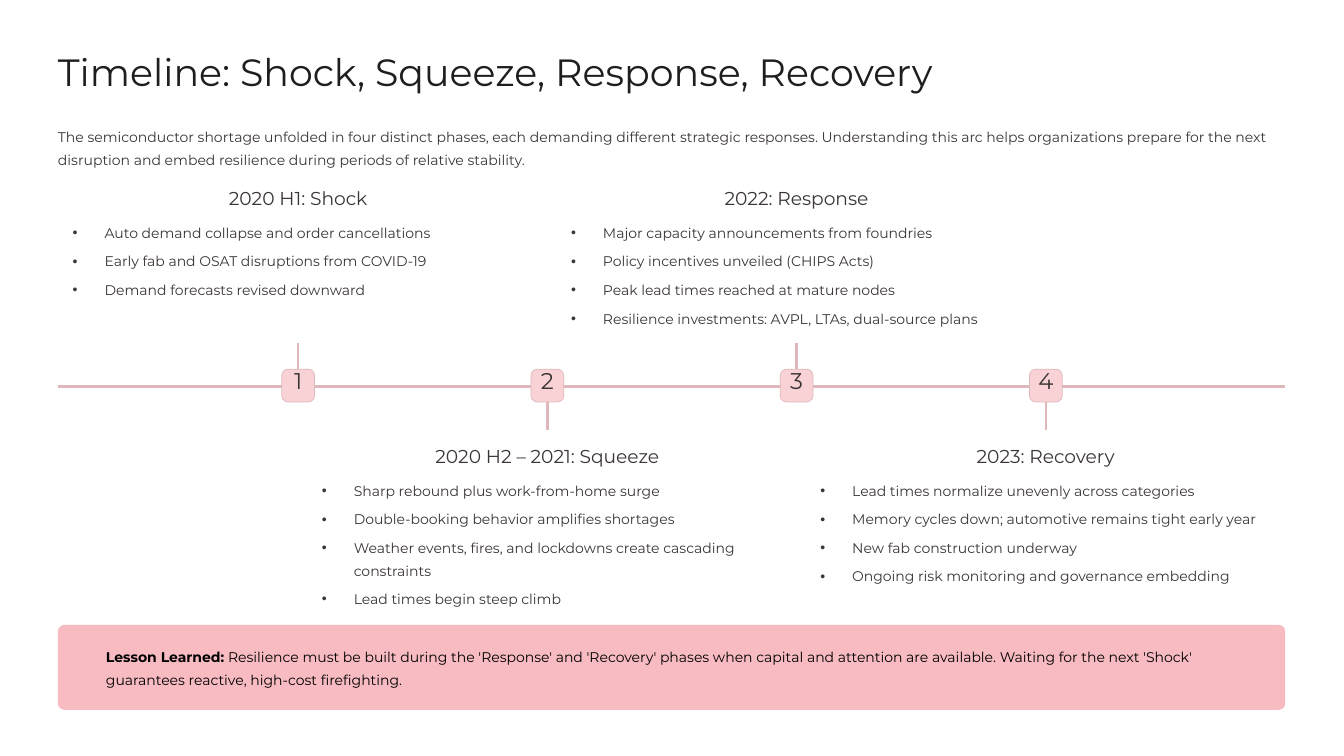
from dataclasses import dataclass

from lxml import etree
from pptx import Presentation
from pptx.dml.color import RGBColor
from pptx.enum.shapes import MSO_CONNECTOR, MSO_SHAPE
from pptx.enum.text import MSO_ANCHOR, MSO_AUTO_SIZE, PP_ALIGN
from pptx.oxml.ns import qn
from pptx.util import Inches, Pt

ROUNDED = MSO_SHAPE.ROUNDED_RECTANGLE
STRAIGHT = MSO_CONNECTOR.STRAIGHT
LEFT, CENTER = PP_ALIGN.LEFT, PP_ALIGN.CENTER
TOP = MSO_ANCHOR.TOP
NO_AUTOFIT = MSO_AUTO_SIZE.NONE

FONT = "Montserrat"
TITLE_COLOR = RGBColor(0x1F, 0x1E, 0x1E)
TEXT_COLOR = RGBColor(0x3B, 0x35, 0x35)
BLACK = RGBColor(0x00, 0x00, 0x00)
LINE_COLOR = RGBColor(0xDF, 0xB8, 0xBC)
BADGE_COLOR = RGBColor(0xF9, 0xD2, 0xD6)
BANNER_COLOR = RGBColor(0xF7, 0xBB, 0xC1)

# Layout in inches
MARGIN, CONTENT_WIDTH = 0.69, 14.61
FIRST_CENTER, LAST_CENTER = 3.55, 12.45
AXIS_Y = 4.6
BADGE_SIZE = 0.39
STEM_REACH = 0.52
HEADING_WIDTH, LIST_WIDTH = 2.88, 5.37
HEADING_TO_LIST = 0.39
HEADING_TOP_ABOVE, HEADING_TOP_BELOW = 2.21, 5.28


@dataclass
class Phase:
    heading: str
    points: list[str]
    list_height: float


PHASES = [
    Phase("2020 H1: Shock", [
        "Auto demand collapse and order cancellations",
        "Early fab and OSAT disruptions from COVID-19",
        "Demand forecasts revised downward",
    ], 0.96),
    Phase("2020 H2 – 2021: Squeeze", [
        "Sharp rebound plus work-from-home surge",
        "Double-booking behavior amplifies shortages",
        "Weather events, fires, and lockdowns create cascading constraints",
        "Lead times begin steep climb",
    ], 1.58),
    Phase("2022: Response", [
        "Major capacity announcements from foundries",
        "Policy incentives unveiled (CHIPS Acts)",
        "Peak lead times reached at mature nodes",
        "Resilience investments: AVPL, LTAs, dual-source plans",
    ], 1.3),
    Phase("2023: Recovery", [
        "Lead times normalize unevenly across categories",
        "Memory cycles down; automotive remains tight early year",
        "New fab construction underway",
        "Ongoing risk monitoring and governance embedding",
    ], 1.3),
]


def place(shape, left: float, top: float, width: float, height: float) -> None:
    shape.left, shape.top = Inches(left), Inches(top)
    shape.width, shape.height = Inches(width), Inches(height)


def add_bullet(paragraph) -> None:
    properties = paragraph._p.get_or_add_pPr()
    properties.set("marL", str(Inches(0.38)))
    properties.set("indent", str(-Inches(0.38)))
    etree.SubElement(properties, qn("a:buChar")).set("char", "•")


def write_text(shape, *texts: str, size: float = 12, color: RGBColor = TEXT_COLOR,
               line_spacing: float = 19.5, alignment=LEFT, bullets: bool = False,
               lead: str = "", insets: tuple = (0, 0, 0, 0)) -> None:
    """Fill a shape with one paragraph per text; lead is a bold opening."""
    frame = shape.text_frame
    frame.word_wrap = True
    frame.auto_size = NO_AUTOFIT
    frame.vertical_anchor = TOP
    frame.margin_left, frame.margin_top, frame.margin_right, frame.margin_bottom = map(Inches, insets)
    for index, text in enumerate(texts):
        paragraph = frame.add_paragraph() if index else frame.paragraphs[0]
        if bullets:
            add_bullet(paragraph)
        paragraph.alignment = alignment
        paragraph.line_spacing = Pt(line_spacing)
        paragraph.space_before = Pt(5 if index else 0)
        paragraph.space_after = Pt(0)
        for content, bold in ((lead, True), (text, False)):
            if content:
                run = paragraph.add_run()
                run.text = content
                run.font.name = FONT
                run.font.size = Pt(size)
                run.font.bold = bold
                run.font.color.rgb = color


def add_text(slide, box: tuple, text: str, **text_format) -> None:
    shape = slide.shapes.add_textbox(*map(Inches, box))
    write_text(shape, text, **text_format)


def add_panel(slide, box: tuple, fill: RGBColor, corner: float):
    shape = slide.shapes.add_shape(ROUNDED, *map(Inches, box))
    shape.adjustments[0] = corner
    shape.shadow.inherit = False
    shape.fill.solid()
    shape.fill.fore_color.rgb = fill
    shape.line.fill.background()
    return shape


def add_line(slide, start: tuple, end: tuple):
    connector = slide.shapes.add_connector(STRAIGHT, *map(Inches, start + end))
    connector.line.color.rgb = LINE_COLOR
    connector.line.width = Pt(2)
    etree.SubElement(connector._element.spPr, qn("a:effectLst"))
    return connector


def add_phase(slide, number: int, phase: Phase, list_placeholder) -> None:
    center = FIRST_CENTER + (number - 1) * (LAST_CENTER - FIRST_CENTER) / (len(PHASES) - 1)
    above = number % 2 == 1

    # Numbered badge and its stem
    badge = add_panel(slide, (center - BADGE_SIZE / 2, AXIS_Y - BADGE_SIZE / 2 - 0.01,
                              BADGE_SIZE, BADGE_SIZE), BADGE_COLOR, 0.187)
    badge.line.color.rgb = LINE_COLOR
    badge.line.width = Pt(0.6)
    write_text(badge, str(number), size=19.5, alignment=CENTER, insets=(0, 0.01, 0, 0))
    stem_end = AXIS_Y - STEM_REACH if above else AXIS_Y + STEM_REACH
    stem = add_line(slide, (center, AXIS_Y), (center, stem_end))
    stem.begin_connect(badge, 0 if above else 2)

    # Heading and list
    heading_top = HEADING_TOP_ABOVE if above else HEADING_TOP_BELOW
    add_text(slide, (center - HEADING_WIDTH / 2, heading_top, HEADING_WIDTH, 0.29),
             phase.heading, size=16, line_spacing=20.5, alignment=CENTER)
    place(list_placeholder, center - LIST_WIDTH / 2, heading_top + HEADING_TO_LIST,
          LIST_WIDTH, phase.list_height)
    write_text(list_placeholder, *phase.points, bullets=True)


def main() -> None:
    presentation = Presentation()
    presentation.slide_width, presentation.slide_height = Inches(16), Inches(9)
    # The comparison layout has a title and four body placeholders
    slide = presentation.slides.add_slide(presentation.slide_layouts.get_by_name("Comparison"))
    title, *lists = slide.placeholders

    # Title and introduction
    place(title, MARGIN, 0.55, CONTENT_WIDTH, 0.57)
    write_text(title, "Timeline: Shock, Squeeze, Response, Recovery",
               size=32.5, color=TITLE_COLOR, line_spacing=41)
    add_text(slide, (MARGIN, 1.46, CONTENT_WIDTH, 0.55),
             "The semiconductor shortage unfolded in four distinct phases, each demanding "
             "different strategic responses. Understanding this arc helps organizations "
             "prepare for the next disruption and embed resilience during periods of "
             "relative stability.")

    # Timeline
    add_line(slide, (MARGIN, AXIS_Y), (MARGIN + CONTENT_WIDTH, AXIS_Y))
    for number, (phase, list_placeholder) in enumerate(zip(PHASES, lists), start=1):
        add_phase(slide, number, phase, list_placeholder)

    # Lesson banner
    banner = add_panel(slide, (MARGIN, 7.44, CONTENT_WIDTH, 1.01), BANNER_COLOR, 0.072)
    write_text(banner,
               " Resilience must be built during the 'Response' and 'Recovery' phases when "
               "capital and attention are available. Waiting for the next 'Shock' guarantees "
               "reactive, high-cost firefighting.",
               lead="Lesson Learned:", color=BLACK, insets=(0.55, 0.19, 0.14, 0))

    presentation.save("out.pptx")


if __name__ == "__main__":
    main()
